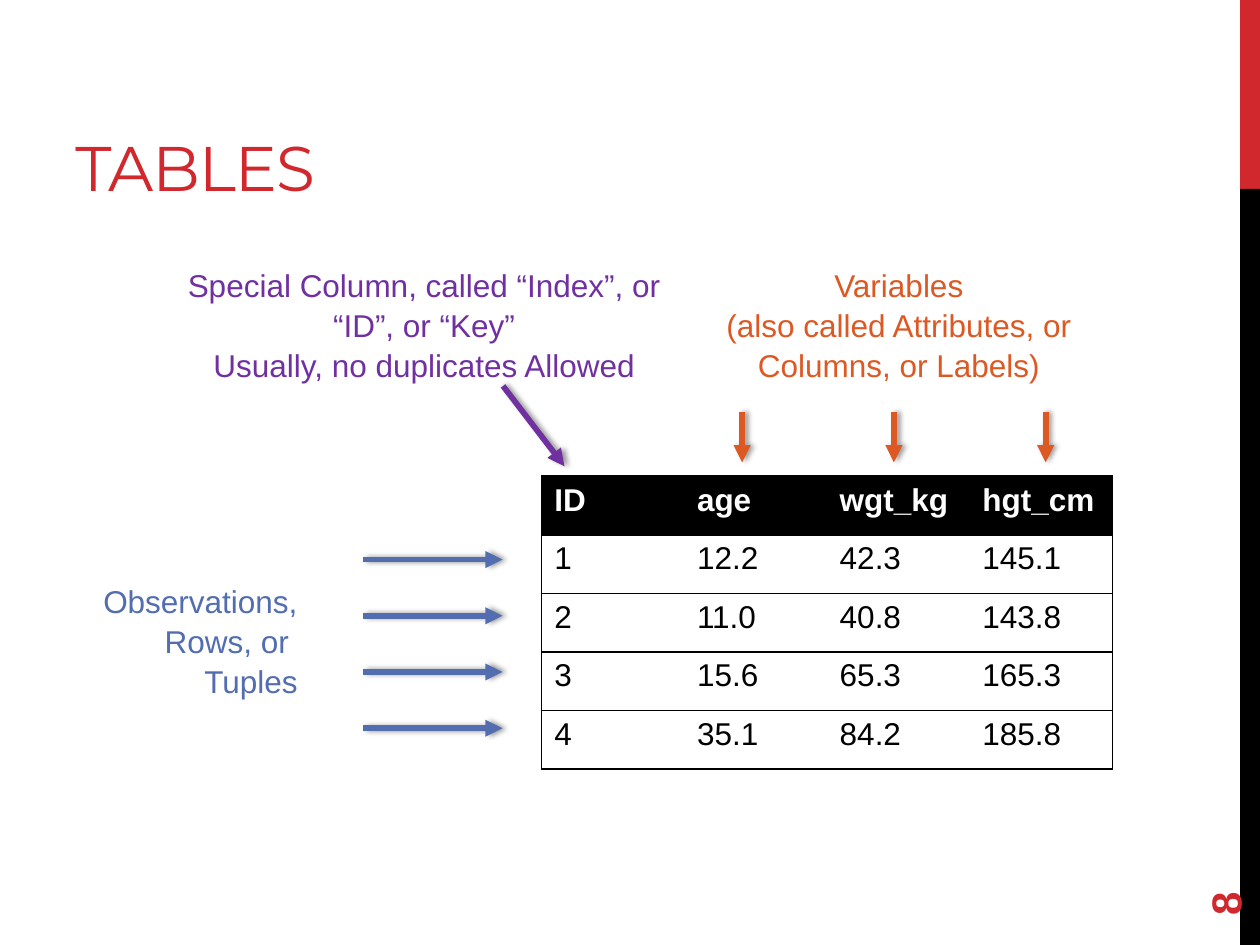
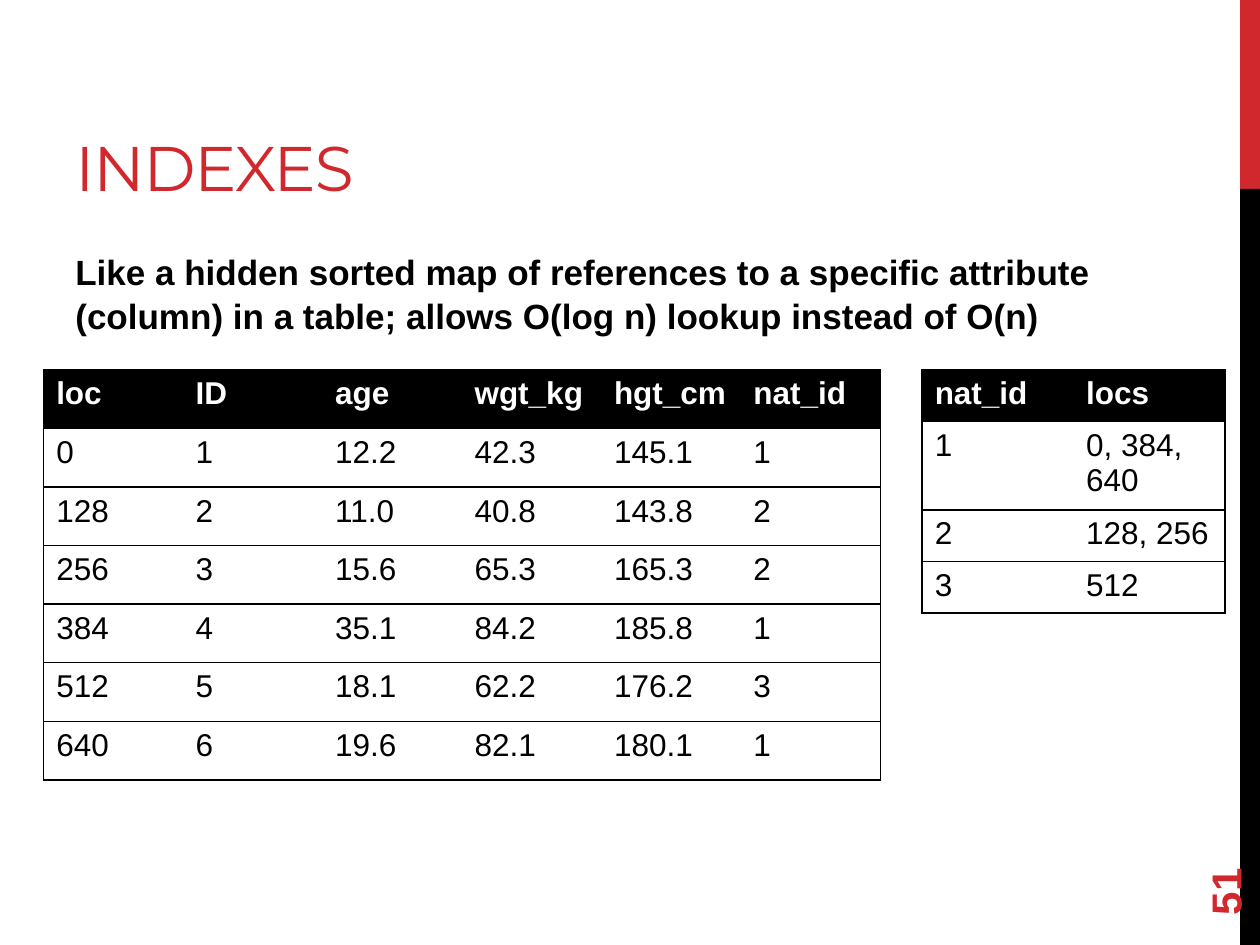
from collections import namedtuple
from dataclasses import dataclass

from lxml import etree
from pptx import Presentation
from pptx.dml.color import RGBColor
from pptx.enum.shapes import MSO_CONNECTOR, MSO_SHAPE
from pptx.enum.text import MSO_ANCHOR, PP_ALIGN
from pptx.oxml import parse_xml
from pptx.oxml.ns import nsdecls, qn
from pptx.util import Cm, Pt

STRAIGHT = MSO_CONNECTOR.STRAIGHT
RECTANGLE = MSO_SHAPE.RECTANGLE
TOP, MIDDLE, BOTTOM = MSO_ANCHOR.TOP, MSO_ANCHOR.MIDDLE, MSO_ANCHOR.BOTTOM
LEFT, CENTER, RIGHT = PP_ALIGN.LEFT, PP_ALIGN.CENTER, PP_ALIGN.RIGHT

Box = namedtuple("Box", "left top width height")


@dataclass(frozen=True)
class Theme:
    red: str = "D1282E"
    black: str = "000000"
    white: str = "FFFFFF"
    blue: str = "526DB0"
    orange: str = "DC5924"
    purple: str = "7030A0"
    title_font: str = "Montserrat"
    text_font: str = "Arial"
    title_size: int = 36
    number_size: int = 24
    body_size: int = 20
    label_size: int = 18
    arrow_width: float = 3.25
    border_width: int = 1
    line_spacing: float = 1.05
    plain_table: str = "{2D5ABB26-0587-4C30-8999-92F81FD0307C}"


THEME = Theme()


def text_format(size, font=THEME.text_font, bold=False):
    return {"size": Pt(size), "name": font, "bold": bold}


TITLE = text_format(THEME.title_size, THEME.title_font)
NUMBER = text_format(THEME.number_size, bold=True)
BODY = text_format(THEME.body_size, bold=True)
LABEL = text_format(THEME.label_size)
HEADER = text_format(THEME.label_size, bold=True)


def place(box):
    return [Cm(length) for length in box]


def style_font(font, values, color):
    for name, value in values.items():
        setattr(font, name, value)
    font.color.rgb = RGBColor.from_string(color)


def add_text(page, box, lines, values, color, align=LEFT, anchor=TOP, spacing=1.0):
    text_box = page.shapes.add_textbox(*place(box))
    frame = text_box.text_frame
    frame.word_wrap = True
    frame.vertical_anchor = anchor
    for index, line in enumerate(lines):
        para = frame.add_paragraph() if index else frame.paragraphs[0]
        para.alignment = align
        para.line_spacing = spacing
        span = para.add_run()
        span.text = line
        style_font(span.font, values, color)
    return text_box


def add_label(page, box, lines, color, align):
    add_text(page, box, lines, LABEL, color, align, spacing=THEME.line_spacing)


def add_arrow(page, start, end, color):
    arrow = page.shapes.add_connector(STRAIGHT, *place(start + end))
    arrow.line.width = Pt(THEME.arrow_width)
    arrow.line.color.rgb = RGBColor.from_string(color)
    etree.SubElement(arrow.line._get_or_add_ln(), qn("a:tailEnd"), type="triangle")
    arrow._element.spPr.append(parse_xml(
        f'<a:effectLst {nsdecls("a")}>'
        f'<a:outerShdw blurRad="{Pt(3.1)}" dist="{Pt(1.8)}" dir="0" rotWithShape="0">'
        f'<a:srgbClr val="{THEME.black}"><a:alpha val="40000"/></a:srgbClr>'
        '</a:outerShdw></a:effectLst>'))


def add_borders(cell, sides):
    for side in sides:
        cell._tc.get_or_add_tcPr().append(parse_xml(
            f'<a:ln{side} {nsdecls("a")} w="{Pt(THEME.border_width)}">'
            f'<a:solidFill><a:srgbClr val="{THEME.black}"/></a:solidFill>'
            f'</a:ln{side}>'))


def add_data_table(page, box, rows, row_heights):
    last_column = len(rows[0]) - 1
    table = page.shapes.add_table(len(rows), len(rows[0]), *place(box)).table
    table._tbl.tblPr.find(qn("a:tableStyleId")).text = THEME.plain_table
    table.horz_banding = False
    for column in table.columns:
        column.width = Cm(box.width / len(rows[0]))
    for row_index, values in enumerate(rows):
        table.rows[row_index].height = Cm(row_heights[row_index])
        is_header = row_index == 0
        fill, color = (THEME.black, THEME.white) if is_header else (THEME.white, THEME.black)
        for column_index, value in enumerate(values):
            cell = table.cell(row_index, column_index)
            sides = "L" * (column_index == 0) + "R" * (column_index == last_column) + "TB"
            add_borders(cell, sides)
            cell.fill.solid()
            cell.fill.fore_color.rgb = RGBColor.from_string(fill)
            span = cell.text_frame.paragraphs[0].add_run()
            span.text = value
            style_font(span.font, HEADER if is_header else LABEL, color)


def add_side_band(page, box):
    red_height = box.height / 5
    parts = [
        (box._replace(height=red_height), THEME.red),
        (box._replace(top=box.top + red_height, height=box.height - red_height), THEME.black),
    ]
    for part, color in parts:
        band = page.shapes.add_shape(RECTANGLE, *place(part))
        band.shadow.inherit = False
        band.fill.solid()
        band.fill.fore_color.rgb = RGBColor.from_string(color)
        band.line.fill.background()


def start_page(deck, title, title_width, number):
    page = deck.slides.add_slide(deck.slide_layouts[6])
    add_side_band(page, Box(25, 0, 0.4, 19.05))
    title_box = add_text(page, Box(1.27, 0.43, title_width, 3.81), [title],
                         TITLE, THEME.red, anchor=BOTTOM)
    span = title_box.text_frame.paragraphs[0].runs[0]
    span.font._element.set("spc", "-60")
    number_box = add_text(page, Box(22.86, 16.36, 3.66, 1.02), [number],
                          NUMBER, THEME.red, anchor=MIDDLE)
    number_box.rotation = 270
    return page


def add_observations(page, box):
    lines = ["Observations,", "Rows, or ", "Tuples"]
    add_label(page, Box(box.left, box.top + 0.3, 4.98, 2.57), lines, THEME.blue, RIGHT)
    for index in range(4):
        y = box.top + index * box.height / 3
        add_arrow(page, (box.left + 6.05, y), (box.left + box.width, y), THEME.blue)


def add_variables(page, box):
    lines = ["Variables", "(also called Attributes, or Columns, or Labels)"]
    add_label(page, box._replace(height=2.57), lines, THEME.orange, CENTER)
    for index in range(3):
        x = box.left + 1.17 + index * 3.06
        add_arrow(page, (x, box.top + 3.1), (x, box.top + box.height), THEME.orange)


def add_index_note(page, box):
    lines = ["Special Column, called “Index”, or “ID”, or “Key”",
             "Usually, no duplicates Allowed"]
    add_label(page, box._replace(height=2.57), lines, THEME.purple, CENTER)
    add_arrow(page, (box.left + 6.81, box.top + 2.57),
              (box.left + 8.05, box.top + box.height), THEME.purple)


PEOPLE = [
    ["ID", "age", "wgt_kg", "hgt_cm"],
    ["1", "12.2", "42.3", "145.1"],
    ["2", "11.0", "40.8", "143.8"],
    ["3", "15.6", "65.3", "165.3"],
    ["4", "35.1", "84.2", "185.8"],
]
MORE_PEOPLE = [
    ["5", "18.1", "62.2", "176.2"],
    ["6", "19.6", "82.1", "180.1"],
]
LOCATIONS = ["loc", "0", "128", "256", "384", "512", "640"]
NATIONS = ["nat_id", "1", "2", "2", "1", "3", "1"]
NATION_INDEX = [["nat_id", "locs"], ["1", "0, 384, 640"], ["2", "128, 256"], ["3", "512"]]


def build_tables_page(deck):
    page = start_page(deck, "TABLES", 20.22, "8")
    add_data_table(page, Box(10.92, 9.6, 11.51, 5.9), PEOPLE, [1.18] * 5)
    add_observations(page, Box(1.27, 11.28, 8.86, 3.4))
    add_variables(page, Box(13.79, 5.21, 8.66, 4.11))
    add_index_note(page, Box(3.33, 5.21, 10.44, 4.19))


def build_indexes_page(deck):
    page = start_page(deck, "INDEXES", 16.08, "51")
    summary = ("Like a hidden sorted map of references to a specific attribute "
               "(column) in a table; allows O(log n) lookup instead of O(n)")
    add_text(page, Box(1.27, 4.88, 21.16, 12.14), [summary], BODY, THEME.black,
             spacing=THEME.line_spacing)
    rows = [[location, *person, nation] for location, person, nation
            in zip(LOCATIONS, PEOPLE + MORE_PEOPLE, NATIONS)]
    add_data_table(page, Box(0.88, 7.46, 16.87, 8.26), rows, [1.18] * 7)
    add_data_table(page, Box(18.59, 7.46, 6.1, 4.87), NATION_INDEX, [1.04, 1.75, 1.04, 1.04])


def main():
    deck = Presentation()
    deck.slide_width, deck.slide_height = Cm(25.4), Cm(19.05)
    build_tables_page(deck)
    build_indexes_page(deck)
    deck.save("out.pptx")


if __name__ == "__main__":
    main()
